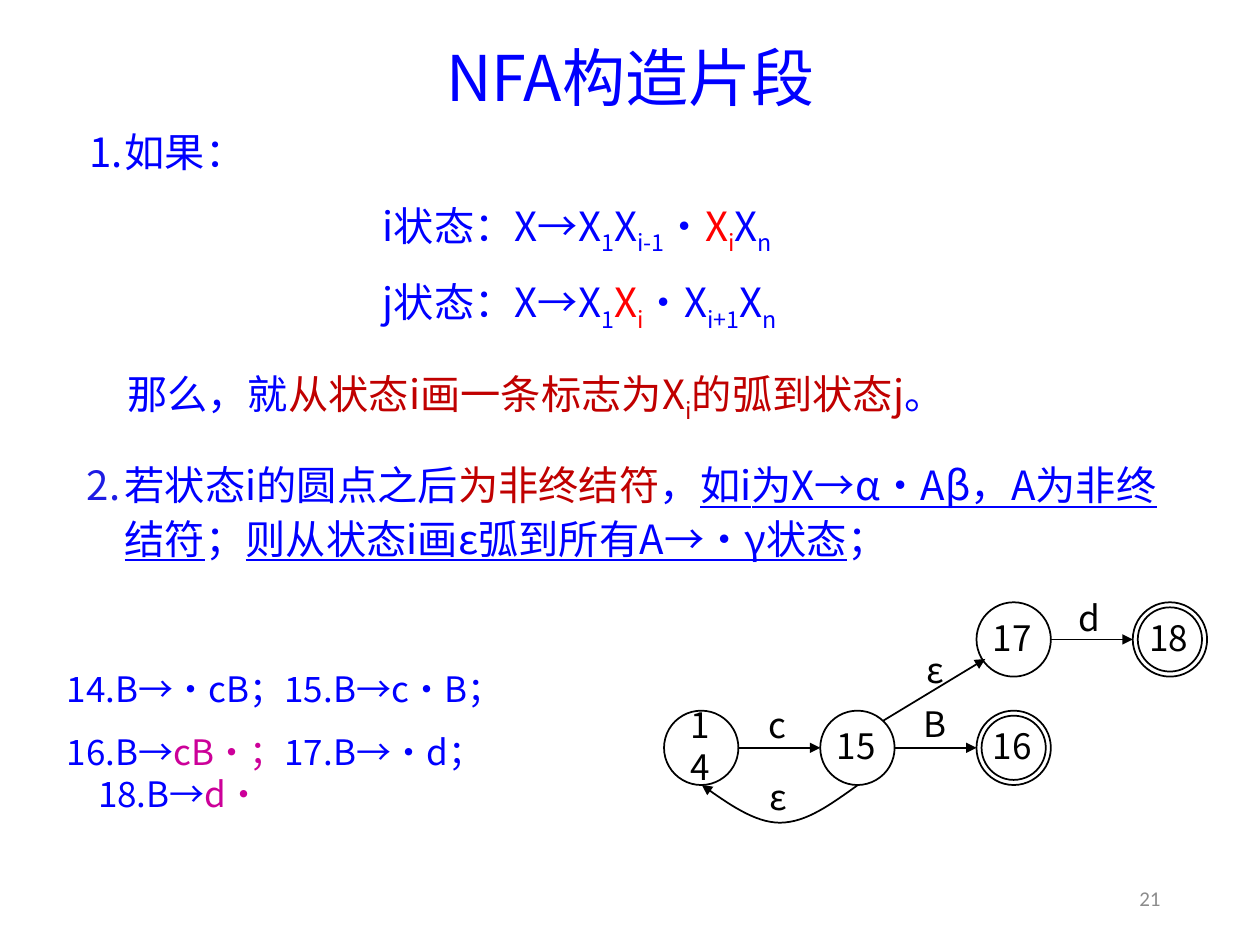
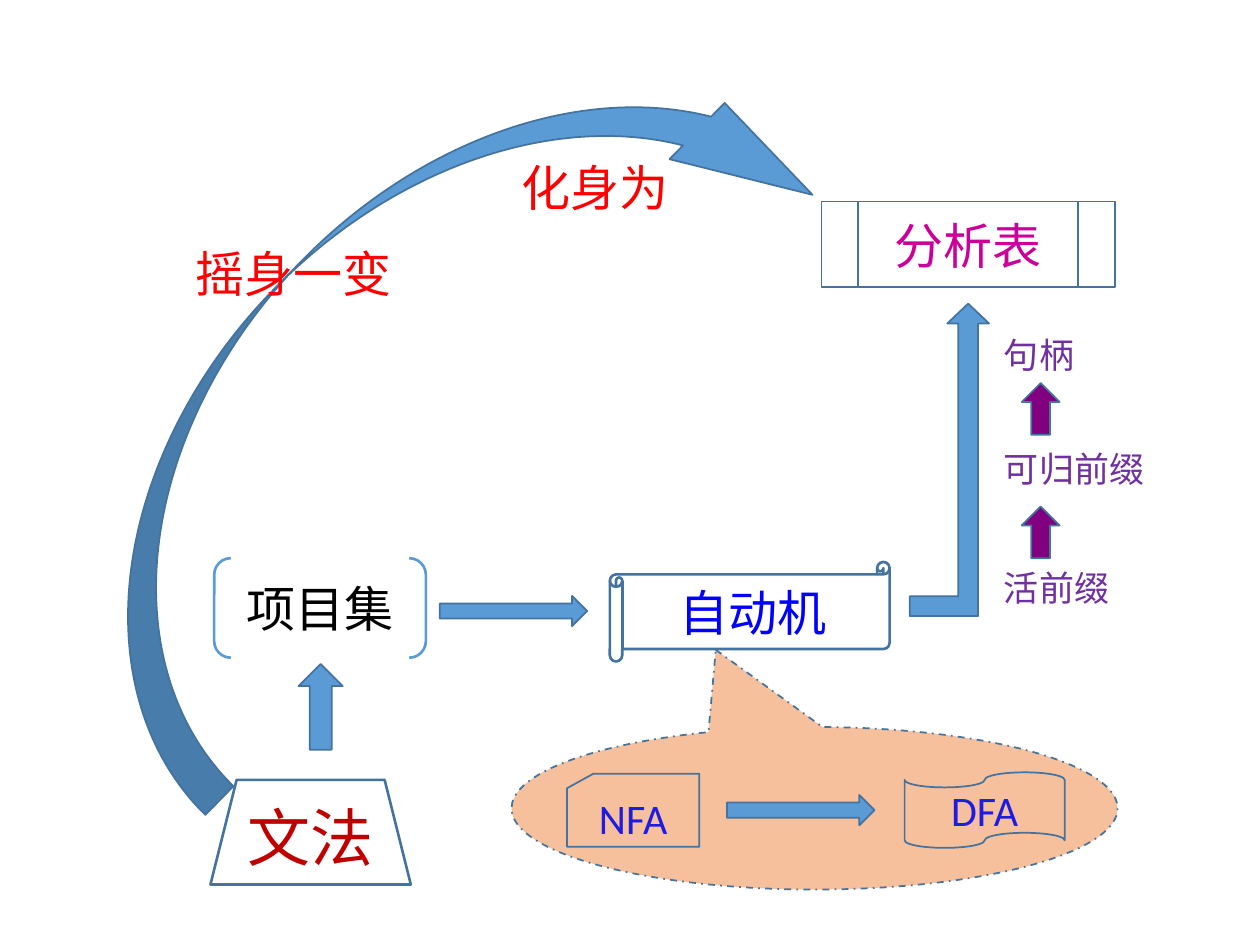
import lxml.etree
import pptx
import pptx.dml.color
import pptx.enum.dml
import pptx.enum.shapes
import pptx.enum.text
import pptx.oxml.ns
import pptx.util

RGB = pptx.dml.color.RGBColor
BLUE = RGB(0x00, 0x00, 0xFF)
RED = RGB(0xFF, 0x00, 0x00)
DARK = RGB(0xC0, 0x00, 0x00)
PINK = RGB(0xCC, 0x00, 0x99)
INK = RGB(0x1E, 0x1C, 0xE3)
BLACK = RGB(0x00, 0x00, 0x00)
GREY = RGB(0x8C, 0x8C, 0x8C)
VIOLET = RGB(0x70, 0x30, 0xA0)
PURPLE = RGB(0x80, 0x00, 0x80)
SKY = RGB(0x5B, 0x9B, 0xD5)
EDGE = RGB(0x43, 0x73, 0x9E)
ORANGE = RGB(0xED, 0x7D, 0x31)

HAN, HEAD, LATIN = "Noto Sans CJK SC", "Noto Sans CJK JP", "Calibri"
KIND = pptx.enum.shapes.MSO_SHAPE
ALIGN = pptx.enum.text.PP_ALIGN
MID = pptx.enum.text.MSO_ANCHOR.MIDDLE
TOP = pptx.enum.text.MSO_ANCHOR.TOP
qn = pptx.oxml.ns.qn
inch = pptx.util.Inches

# Runs are (text, colour or None, style); style is "sub", "u" or "".
# Paragraphs are (runs, left indent, first indent, space after, number).
RULES = [
    ([("如果：", None, "")], 0.3, -0.28, 6, 1),
    ([("i状态：X→X", None, ""), ("1", None, "sub"), ("X", None, ""),
      ("i-1", None, "sub"), ("·", None, ""), ("X", RED, ""),
      ("i", RED, "sub"), ("X", None, ""), ("n", None, "sub")],
     2.35, 0, 3, None),
    ([("j状态：X→X", None, ""), ("1", None, "sub"), ("X", RED, ""),
      ("i", RED, "sub"), ("·X", None, ""), ("i+1", None, "sub"),
      ("X", None, ""), ("n", None, "sub")], 2.35, 0, 12, None),
    ([("那么，就", None, ""), ("从状态i画一条标志为X", DARK, ""),
      ("i", DARK, "sub"), ("的弧到状态j", DARK, ""), ("。", None, "")],
     0.32, 0, 12, None),
    ([("若状态i的圆点之后", None, ""), ("为非终结符", DARK, ""),
      ("，", None, ""), ("如i为X→α·Aβ，A为非终结符", None, "u"),
      ("；", None, ""), ("则从状态i画ε弧到所有A→·γ状态", None, "u"),
      ("；", None, "")], 0.3, -0.3, 12, 2),
]
ITEMS = [
    ([("14.B→·cB；15.B→c·B；", None, "")], 0.25, -0.25, 6, None),
    ([("16.B→", None, ""), ("cB·；", PINK, ""),
      ("17.B→·d；18.B→", None, ""), ("d·", PINK, "")],
     0.25, -0.25, 6, None),
]

# State: name, column, row, accepting, side inset of its label
STATES = [("14", 0, 1, False, 0.1), ("15", 1, 1, False, 0),
          ("17", 2, 0, False, 0), ("18", 3, 0, True, 0),
          ("16", 2, 1, True, 0)]
LEFT, STEP, ROWS, SIZE, RING = 5.27, 1.24, (4.78, 5.64), 0.59, 0.04
MOVES = [(0, 1), (1, 1), (2, 0)]  # column and row of the source state
RISE = (7.01, 5.72, 7.82, 5.23)
BACK = [(6.81, 6.23), (6.6, 6.38), (6.4, 6.53), (6.19, 6.53),
        (5.99, 6.53), (5.78, 6.38), (5.57, 6.23)]
MARKS = [("d", 8.65, 4.9), ("B", 7.42, 5.74), ("ε", 7.42, 5.31),
         ("ε", 6.18, 6.32), ("c", 6.17, 5.75)]

# Shape: kind, box, fill, line colour, line width, text, size, colour, font
NODES = [
    (KIND.TRAPEZOID, (1.67, 6.19, 1.59, 0.83), EDGE, 1.5,
     "文法", 36, DARK, HAN),
    (KIND.DOUBLE_BRACKET, (1.7, 4.43, 1.68, 0.79), SKY, 1.5,
     "项目集", 28, BLACK, HAN),
    (KIND.HORIZONTAL_SCROLL, (4.84, 4.46, 2.22, 0.79), EDGE, 1.5,
     "自动机", 28, BLUE, HAN),
    (KIND.FLOWCHART_PREDEFINED_PROCESS, (6.52, 1.6, 2.33, 0.68), EDGE, 1,
     "分析表", 28, PINK, HAN),
]
FORMS = [
    (KIND.FLOWCHART_PUNCHED_TAPE, (7.18, 6.13, 1.27, 0.6), EDGE, 1,
     "DFA", 24, INK, LATIN),
    (KIND.FLOWCHART_CARD, (4.5, 6.14, 1.05, 0.58), EDGE, 1,
     "NFA", 24, INK, LATIN),
]
# Arrow: kind, box, fill, adjustments, rotation
ARROWS = [
    (KIND.UP_ARROW, (2.37, 5.27, 0.35, 0.68), SKY, (), 0),
    (KIND.RIGHT_ARROW, (3.49, 4.73, 1.17, 0.24), SKY, (), 0),
    (KIND.BENT_UP_ARROW, (7.22, 2.41, 0.63, 2.48), SKY,
     (0.25, 0.263, 0.25), 0),
    (KIND.UP_ARROW, (8.11, 4.02, 0.3, 0.41), PURPLE, (), 0),
    (KIND.UP_ARROW, (8.11, 3.04, 0.3, 0.41), PURPLE, (), 0),
    (KIND.CURVED_LEFT_ARROW, (1.98, -0.59, 2.53, 7.2), SKY,
     (0.126, 0.247, 0.399), 224.4),
]
INNER = (KIND.RIGHT_ARROW, (5.77, 6.31, 1.17, 0.24), SKY, (), 0)
CLOUD = (KIND.OVAL_CALLOUT, (4.06, 5.77, 4.81, 1.29), ORANGE,
         (-0.163, -0.975), 0)
TERMS = [("句柄", 2.63), ("可归前缀", 3.54), ("活前缀", 4.48)]
CRIES = [("摇身一变", 1.3, 1.79), ("化身为", 3.69, 1.1)]


def place(box):
    return [inch(v) for v in box]


def child(parent, tag, **attrs):
    return lxml.etree.SubElement(parent, qn(tag), attrs)


def style(para, size, color, face):
    font = para.font
    font.size = pptx.util.Pt(size)
    font.color.rgb = color
    font.name = face
    child(font._rPr, "a:ea", typeface=face)


def write(frame, text, size, color, face=HAN, align=ALIGN.CENTER):
    frame.vertical_anchor = MID
    para = frame.paragraphs[0]
    para.text = text
    para.alignment = align
    style(para, size, color, face)
    return para


def frame_at(slide, box, inset=0.1):
    frame = slide.shapes.add_textbox(*place(box)).text_frame
    frame.word_wrap = True
    frame.margin_left = frame.margin_right = inch(inset)
    return frame


def fill_list(frame, paras, size, lead=None):
    frame.vertical_anchor = TOP
    for pos, (runs, left, first, after, number) in enumerate(paras):
        para = frame.paragraphs[0] if pos == 0 else frame.add_paragraph()
        props = para._p.get_or_add_pPr()
        props.set("marL", str(inch(left)))
        props.set("indent", str(inch(first)))
        if number:
            tint = child(props, "a:buClr")
            child(tint, "a:srgbClr", val=str(BLUE if number == 1 else INK))
            child(props, "a:buAutoNum", type="arabicPeriod",
                  startAt=str(number))
        style(para, size, BLUE, HAN)
        if lead:
            para.line_spacing = lead
        if pos:
            para.space_before = pptx.util.Pt(6)
        para.space_after = pptx.util.Pt(after)
        for text, color, mark in runs:
            run = para.add_run()
            run.text = text
            if color is not None:
                run.font.color.rgb = color
            if mark == "u":
                run.font.underline = True
            elif mark == "sub":
                run._r.get_or_add_rPr().set("baseline", "-25000")


def stroke(shape, color, width=1, tip=False):
    shape.line.color.rgb = color
    shape.line.width = pptx.util.Pt(width)
    if tip:
        child(shape.line._get_or_add_ln(), "a:tailEnd", type="triangle")


def outline(slide, kind, box, color, width=1):
    shape = slide.shapes.add_shape(kind, *place(box))
    shape.shadow.inherit = False
    shape.fill.background()
    stroke(shape, color, width)
    return shape


def add_node(slide, kind, box, edge, width, text, size, color, face):
    shape = outline(slide, kind, box, edge, width)
    write(shape.text_frame, text, size, color, face)


def add_arrow(slide, kind, box, color, adjust, turn):
    shape = outline(slide, kind, box, EDGE)
    shape.fill.solid()
    shape.fill.fore_color.rgb = color
    for pos, value in enumerate(adjust):
        shape.adjustments[pos] = value
    shape.rotation = turn
    return shape


def add_edge(slide, ends):
    line = slide.shapes.add_connector(
        pptx.enum.shapes.MSO_CONNECTOR.STRAIGHT, *place(ends))
    stroke(line, BLACK, tip=True)
    child(line._element.spPr, "a:effectLst")


def bezier(a, b, c, d, count=16):
    """Points along a cubic curve, without its start."""
    for step in range(1, count + 1):
        t = step / count
        s = 1 - t
        yield tuple(inch(s**3 * p + 3 * s * s * t * q + 3 * s * t * t * r
                         + t**3 * e) for p, q, r, e in zip(a, b, c, d))


def add_curve(slide, knots):
    pen = slide.shapes.build_freeform(*place(knots[0]))
    for pos in range(0, len(knots) - 1, 3):
        pen.add_line_segments(list(bezier(*knots[pos:pos + 4])), close=False)
    curve = pen.convert_to_shape()
    curve.shadow.inherit = False
    curve.fill.background()
    stroke(curve, BLACK, tip=True)


def draw_graph(slide):
    for name, col, row, final, inset in STATES:
        x, y = LEFT + col * STEP, ROWS[row]
        outline(slide, KIND.OVAL, (x, y, SIZE, SIZE), BLACK)
        if final:
            side = SIZE - 2 * RING
            outline(slide, KIND.OVAL, (x + RING, y + RING, side, side), BLACK)
        write(frame_at(slide, (x + 0.04, y + 0.15, 0.49, 0.26), inset),
              name, 20, BLACK)
    for col, row in MOVES:
        x, y = LEFT + col * STEP, ROWS[row] + SIZE / 2
        add_edge(slide, (x + SIZE, y, x + STEP, y))
    add_edge(slide, RISE)
    add_curve(slide, BACK)
    for text, x, y in MARKS:
        write(frame_at(slide, (x - 0.2, y - 0.15, 0.4, 0.3)), text, 20, BLACK)


def draw_rules(slide):
    title = write(frame_at(slide, (0.69, 0.29, 8.62, 0.71)),
                  "NFA构造片段", 36, BLUE, HEAD)
    title.line_spacing = 0.9
    fill_list(frame_at(slide, (0.59, 0.92, 8.82, 3.46)), RULES, 23, 1.1)
    write(frame_at(slide, (8.78, 6.9, 0.53, 0.45)), "21", 12, GREY,
          LATIN, ALIGN.RIGHT)
    fill_list(frame_at(slide, (0.43, 5.25, 4.65, 1.1)), ITEMS, 20)
    draw_graph(slide)


def draw_flow(slide):
    for node in NODES:
        add_node(slide, *node)
    for arrow in ARROWS:
        add_arrow(slide, *arrow)
    for text, y in TERMS:
        write(frame_at(slide, (7.87, y, 1.57, 0.36)), text, 20, VIOLET,
              align=ALIGN.LEFT)
    for text, x, y in CRIES:
        write(frame_at(slide, (x, y, 2.06, 0.76)), text, 28, RED)
    cloud = add_arrow(slide, *CLOUD)
    cloud.line.dash_style = pptx.enum.dml.MSO_LINE.DASH_DOT
    tint = cloud._element.spPr.find(qn("a:solidFill"))[0]
    child(tint, "a:alpha", val="48000")
    for form in FORMS:
        add_node(slide, *form)
    add_arrow(slide, *INNER)


def main():
    deck = pptx.Presentation()
    deck.slide_width, deck.slide_height = inch(10), inch(7.5)
    for draw in (draw_rules, draw_flow):
        draw(deck.slides.add_slide(deck.slide_layouts[6]))
    deck.save("out.pptx")


if __name__ == "__main__":
    main()
